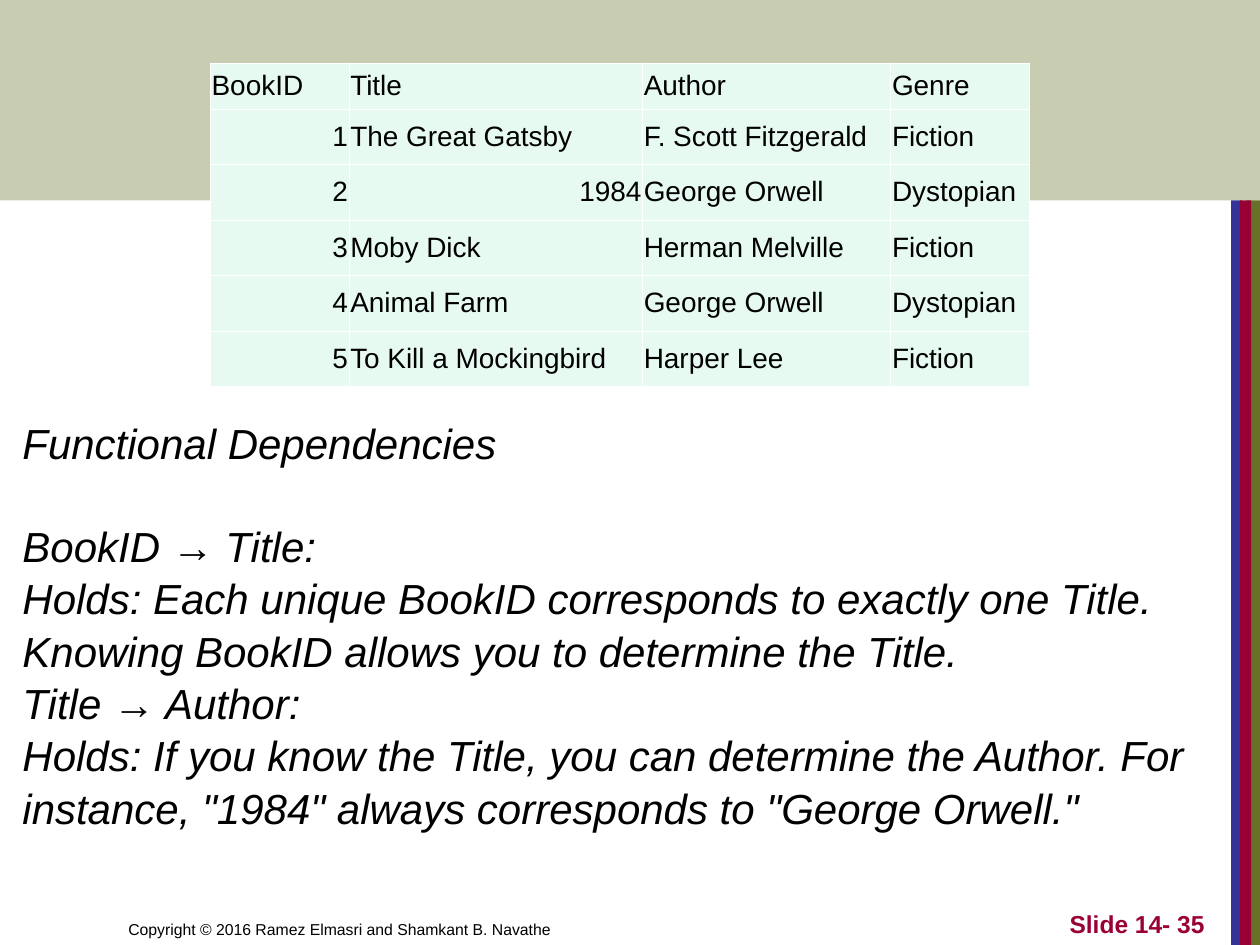
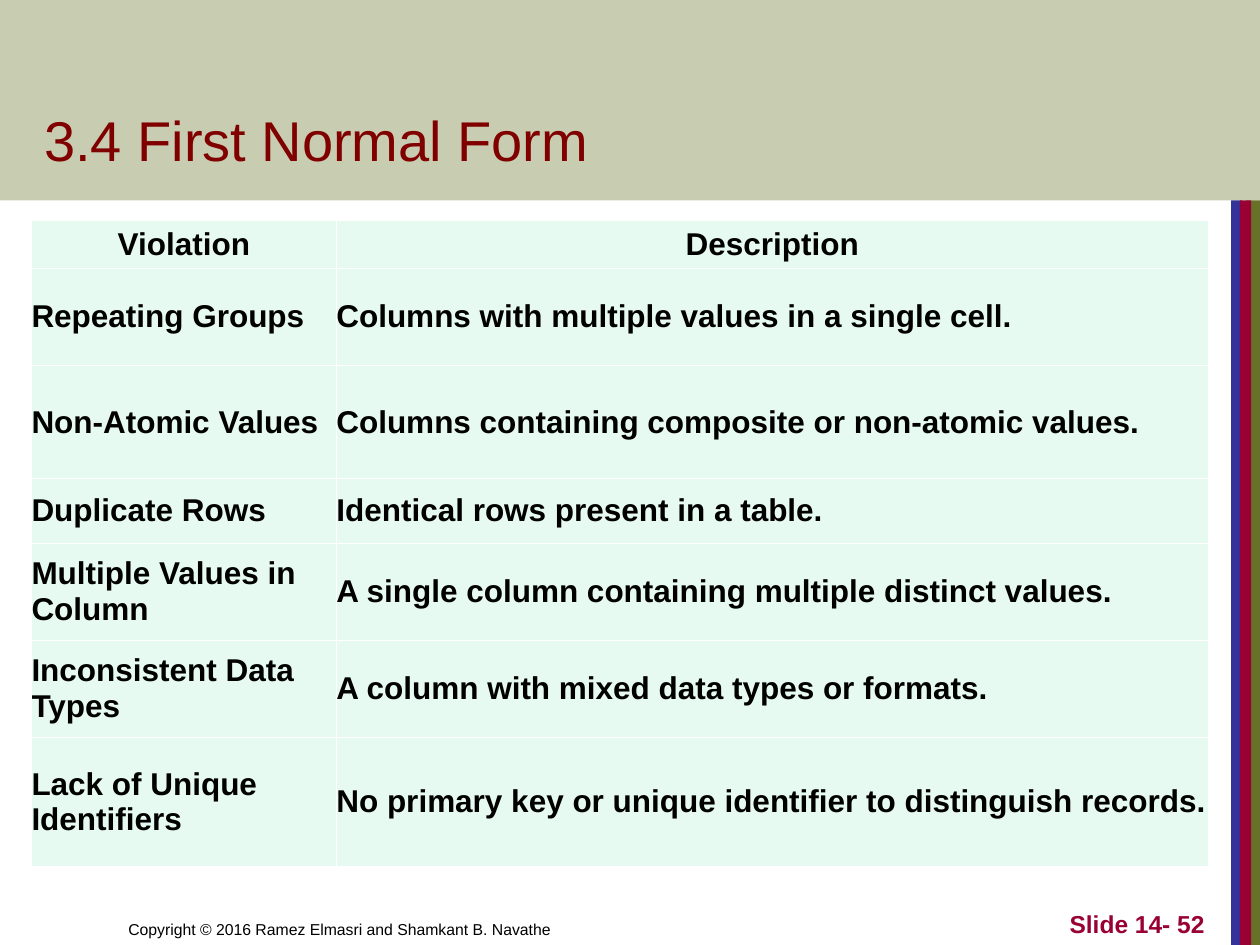
from lxml import etree
from pptx import Presentation
from pptx import util as u
from pptx.dml.color import RGBColor
from pptx.enum import shapes, text
from pptx.oxml import parse_xml
from pptx.oxml.ns import nsdecls, qn

COLORS = {"olive": "677228", "blue": "333399", "crimson": "990033",
          "maroon": "800000", "mint": "E7FAF1", "white": "FFFFFF", "black": "000000"}
FONT = "Arial"
ALIGN = text.PP_ALIGN
BAND_H = 1.59

STRIPES = [("olive", 9.89, 0.11), ("blue", 9.77, 0.09), ("crimson", 9.84, 0.09)]

BOOKS = [
    ("BookID", "Title", "Author", "Genre"),
    ("1", "The Great Gatsby", "F. Scott Fitzgerald", "Fiction"),
    ("2", "1984", "George Orwell", "Dystopian"),
    ("3", "Moby Dick", "Herman Melville", "Fiction"),
    ("4", "Animal Farm", "George Orwell", "Dystopian"),
    ("5", "To Kill a Mockingbird", "Harper Lee", "Fiction"),
]
VIOLATIONS = [
    ("Violation", "Description"),
    ("Repeating Groups", "Columns with multiple values in a single cell."),
    ("Non-Atomic Values", "Columns containing composite or non-atomic values."),
    ("Duplicate Rows", "Identical rows present in a table."),
    ("Multiple Values in Column", "A single column containing multiple distinct values."),
    ("Inconsistent Data Types", "A column with mixed data types or formats."),
    ("Lack of Unique Identifiers", "No primary key or unique identifier to distinguish records."),
]
DEPENDENCIES = [
    "Functional Dependencies",
    "BookID → Title:",
    "Holds: Each unique BookID corresponds to exactly one Title. "
    "Knowing BookID allows you to determine the Title.",
    "Title → Author:",
    "Holds: If you know the Title, you can determine the Author. "
    "For instance, \"1984\" always corresponds to \"George Orwell.\"",
]

SLIDES = [
    {"number": 35, "title": None, "rows": BOOKS, "at": (1.67, 0.5),
     "cols": [1.1, 2.33, 1.97, 1.1], "heights": [0.27] + [0.44] * 5,
     "inset": 0.01, "size": 16, "bold": False, "head": ALIGN.LEFT,
     "body": DEPENDENCIES},
    {"number": 52, "title": "3.4 First Normal Form", "rows": VIOLATIONS, "at": (0.25, 1.75),
     "cols": [2.42, 6.92], "heights": [0.3, 0.77, 0.9, 0.51, 0.77, 0.77, 1.03],
     "inset": 0, "size": 18, "bold": True, "head": ALIGN.CENTER,
     "body": []},
]


def write(tf, lines, size, color="black", align=ALIGN.LEFT, **fmt):
    for i, line in enumerate(lines):
        p = tf.paragraphs[0] if i == 0 else tf.add_paragraph()
        p.alignment = align
        r = p.add_run()
        r.text = line
        r.font.color.rgb = RGBColor.from_string(COLORS[color])
        for key, value in {"name": FONT, "size": u.Pt(size), "bold": False, **fmt}.items():
            setattr(r.font, key, value)


def add_text(s, box, lines, size, anchor=text.MSO_ANCHOR.BOTTOM, **fmt):
    tf = s.shapes.add_textbox(*map(u.Inches, box)).text_frame
    tf.word_wrap = True
    tf.vertical_anchor = anchor
    write(tf, lines, size, **fmt)
    return tf


prs = Presentation()
prs.slide_width, prs.slide_height = u.Inches(10), u.Inches(7.5)

for data in SLIDES:
    s = prs.slides.add_slide(prs.slide_layouts[5 if data["title"] else 6])

    bars = [(color, x, BAND_H, w, 7.5 - BAND_H) for color, x, w in STRIPES]
    for color, *box in bars + [("olive", 0, 0, 10, BAND_H)]:
        sp = s.shapes.add_shape(shapes.MSO_SHAPE.RECTANGLE, *map(u.Inches, box))
        sp.shadow.inherit = False
        sp.line.fill.background()
        sp.fill.solid()
        sp.fill.fore_color.rgb = RGBColor.from_string(COLORS[color])
    band_color = sp._element.spPr.find(qn("a:solidFill"))[0]
    etree.SubElement(band_color, qn("a:alpha"), val="36000")

    add_text(s, (0.92, 7, 4.92, 0.5),
             ["Copyright © 2016 Ramez Elmasri and Shamkant B. Navathe"], 9)
    add_text(s, (7.58, 7, 2.08, 0.5), [f"Slide 14- {data['number']}"], 14,
             color="crimson", align=ALIGN.RIGHT, bold=True)

    if data["title"]:
        title = s.shapes.title
        s.shapes._spTree.append(title._element)
        box = {"left": 0.25, "top": 0.33, "width": 8.53, "height": 1.09}
        for key, value in box.items():
            setattr(title, key, u.Inches(value))
        tf = title.text_frame
        tf.auto_size = text.MSO_AUTO_SIZE.NONE
        tf.vertical_anchor = text.MSO_ANCHOR.BOTTOM
        write(tf, [data["title"]], 32, color="maroon")

    rows, cols, heights = data["rows"], data["cols"], data["heights"]
    size = (sum(cols), sum(heights))
    tbl = s.shapes.add_table(len(rows), len(cols), *map(u.Inches, data["at"] + size)).table
    tbl.first_row = tbl.horz_banding = False
    for col, width in zip(tbl.columns, cols):
        col.width = u.Inches(width)
    for i, (row, height) in enumerate(zip(tbl.rows, heights)):
        row.height = u.Inches(height)
        for cell, value in zip(row.cells, rows[i]):
            cell.margin_left = cell.margin_right = u.Inches(data["inset"])
            cell.vertical_anchor = text.MSO_ANCHOR.MIDDLE
            for side in ("lnL", "lnR", "lnT", "lnB"):
                cell._tc.tcPr.append(parse_xml(
                    f'<a:{side} {nsdecls("a")} w="{u.Pt(0.45)}"><a:solidFill>'
                    f'<a:srgbClr val="{COLORS["white"]}"/></a:solidFill></a:{side}>'))
            cell.fill.solid()
            cell.fill.fore_color.rgb = RGBColor.from_string(COLORS["mint"])
            align = data["head"] if i == 0 else ALIGN.RIGHT if value.isdigit() else ALIGN.LEFT
            write(cell.text_frame, [value], data["size"], align=align, bold=data["bold"])

    if data["body"]:
        tf = add_text(s, (0.08, 3.25, 9.67, 3.3), data["body"], 24,
                      anchor=text.MSO_ANCHOR.TOP, italic=True)
        for p in tf.paragraphs:
            p.line_spacing = 1.04
        tf.paragraphs[1].space_before = u.Pt(28.8)

prs.save("out.pptx")
